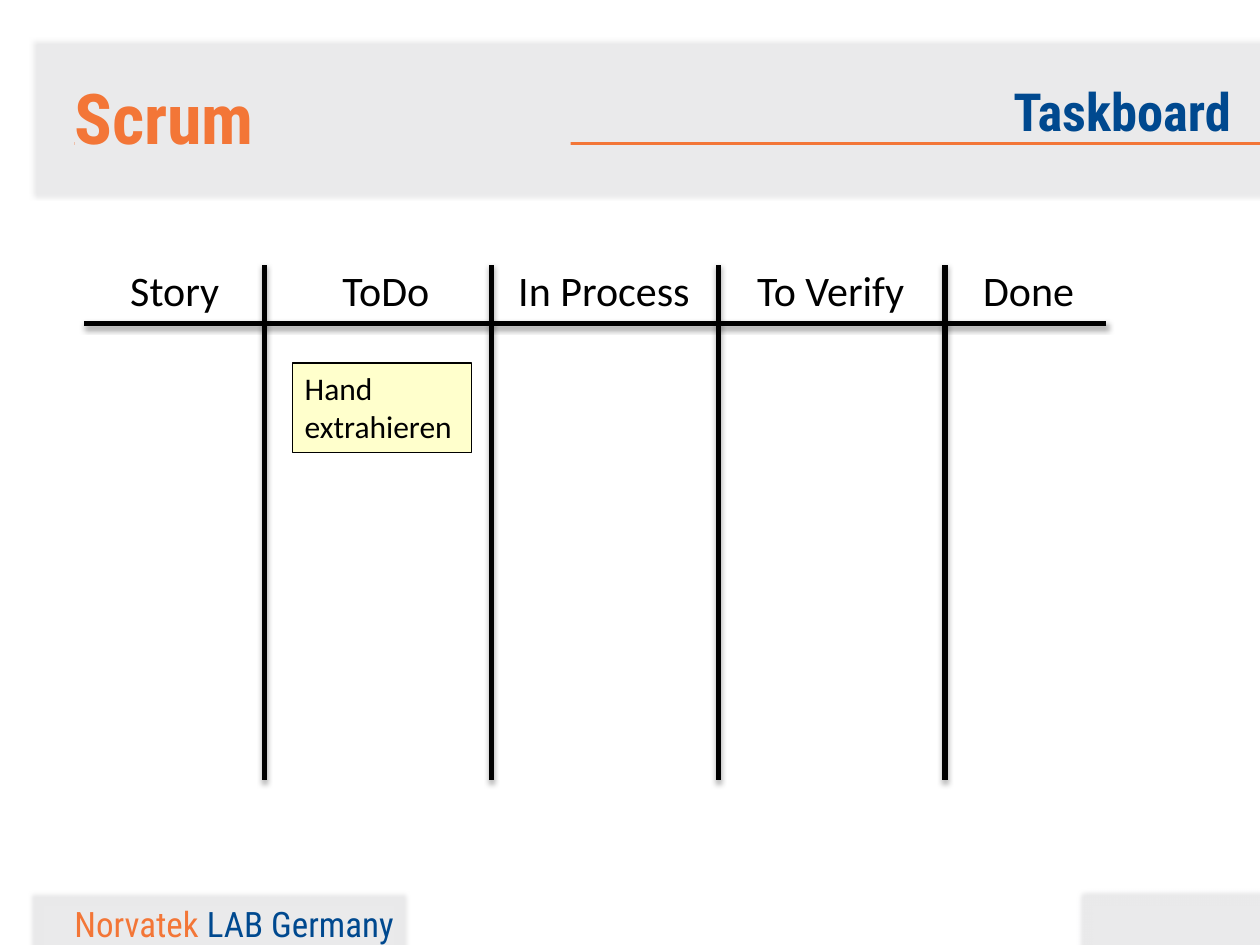
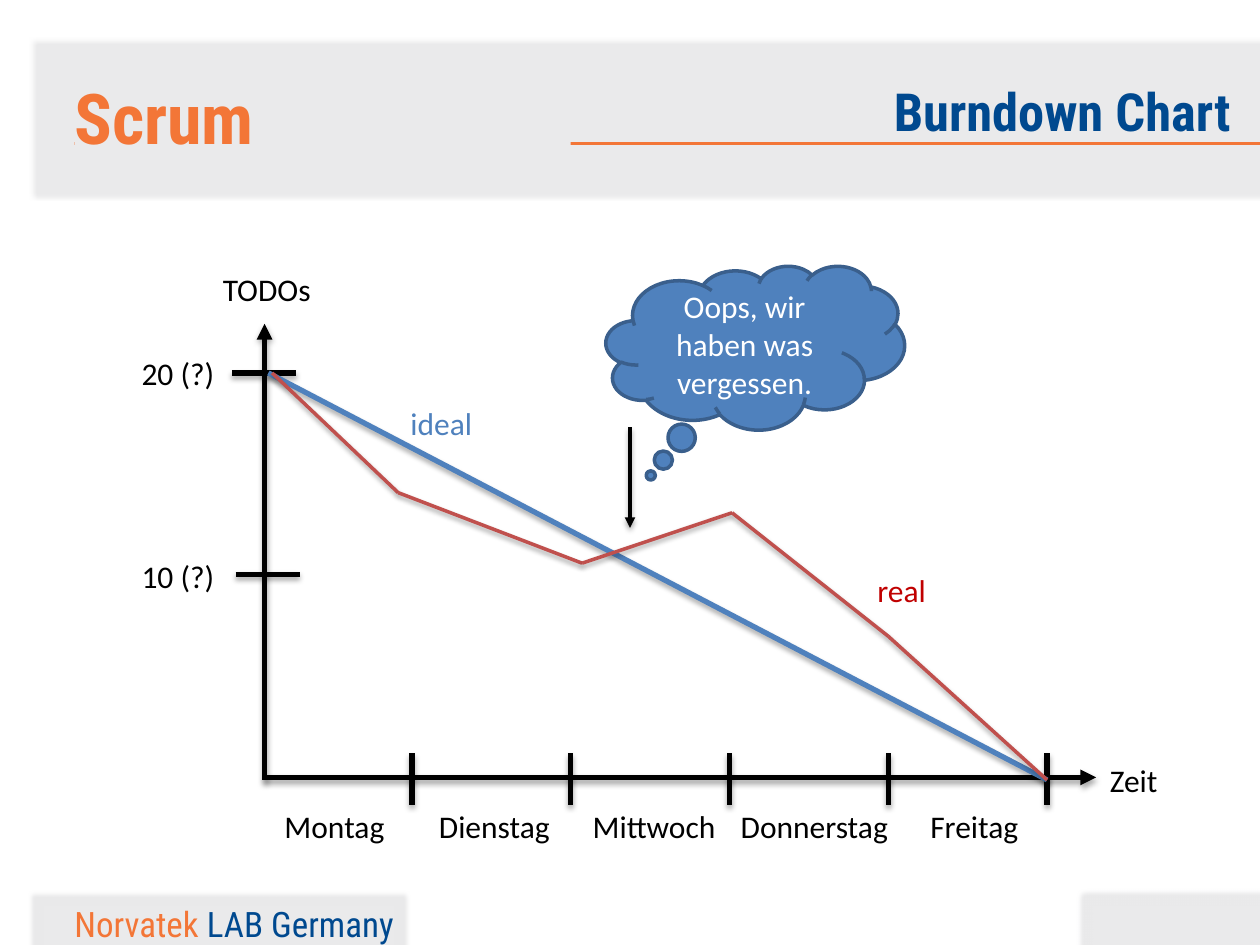
from lxml import etree
from pptx import Presentation
from pptx import util as u
from pptx.dml.color import RGBColor
from pptx.enum import shapes, text
from pptx.oxml import ns

COLORS = {
    "band": "EAEAEB", "orange": "F37637", "navy": "00498F", "black": "000000",
    "white": "FFFFFF", "note": "FFFFCC", "blue": "4F81BD", "blue_edge": "3A5F8C",
    "red": "C0504D", "red_text": "C00000",
}
BODY_FONT, HEAD_FONT = "Calibri", "Roboto Condensed"
TITLE_ONLY = 5


def rgb(name):
    return RGBColor.from_string(COLORS[name])


def inches(*lengths):
    return [u.Inches(length) for length in lengths]


# Text and drawing helpers
def write_text(frame, content, size=18, color="black", font=BODY_FONT, bold=False,
               align="LEFT", anchor="TOP", inset=None, wrap=True, grow=False):
    """Write a string, or a list of (string, colour) runs, as one paragraph."""
    frame.word_wrap = wrap
    frame.vertical_anchor = text.MSO_ANCHOR[anchor]
    fit = text.MSO_AUTO_SIZE
    frame.auto_size = fit.SHAPE_TO_FIT_TEXT if grow else fit.NONE
    if inset is not None:
        frame.margin_left = frame.margin_right = u.Inches(inset)
        frame.margin_top = frame.margin_bottom = u.Inches(inset)
    paragraph = frame.paragraphs[0]
    paragraph.alignment = text.PP_ALIGN[align]
    runs = [(content, color)] if isinstance(content, str) else content
    for words, run_color in runs:
        run = paragraph.add_run()
        run.text = words
        run.font.name, run.font.size, run.font.bold = font, u.Pt(size), bold
        run.font.color.rgb = rgb(run_color)


def add_text(parent, content, left, top, width, height, **style):
    box = parent.shapes.add_textbox(*inches(left, top, width, height))
    write_text(box.text_frame, content, **style)


def add_label(parent, content, center, top, width, height=0.4, **style):
    add_text(parent, content, center - width / 2, top, width, height,
             wrap=False, grow=True, **style)


def add_effect(properties, kind, color, alpha, **lengths):
    """Put one effect in the shape's effect list, creating the list if needed."""
    effects = properties.find(ns.qn("a:effectLst"))
    if effects is None:
        effects = etree.SubElement(properties, ns.qn("a:effectLst"))
    effect = etree.SubElement(effects, ns.qn("a:" + kind))
    for name, value in lengths.items():
        effect.set(name, str(int(value)))
    tint = etree.SubElement(effect, ns.qn("a:srgbClr"), val=COLORS[color])
    etree.SubElement(tint, ns.qn("a:alpha"), val=str(alpha * 1000))


def add_line(parent, start, end, color="black", width=3, arrow=False, shadow=True):
    line = parent.shapes.add_connector(
        shapes.MSO_CONNECTOR.STRAIGHT, *inches(*start, *end))
    line.line.color.rgb = rgb(color)
    line.line.width = u.Pt(width)
    properties = line.element.spPr
    if arrow:
        etree.SubElement(properties.find(ns.qn("a:ln")), ns.qn("a:tailEnd"),
                         type="triangle")
    if shadow:
        add_effect(properties, "outerShdw", "black", 35, blurRad=u.Pt(3.1),
                   dist=u.Pt(1.8), dir=90 * 60000)
    else:
        etree.SubElement(properties, ns.qn("a:effectLst"))


def add_box(parent, kind, left, top, width, height, fill, edge=None, edge_width=1):
    shape = parent.shapes.add_shape(
        shapes.MSO_SHAPE[kind], *inches(left, top, width, height))
    shape.shadow.inherit = False
    shape.fill.solid()
    shape.fill.fore_color.rgb = rgb(fill)
    if edge:
        shape.line.color.rgb = rgb(edge)
        shape.line.width = u.Pt(edge_width)
    else:
        shape.line.fill.background()
    return shape


# Shared frame: bands, rule, footer, section name and title
def add_frame(presentation, title):
    slide = presentation.slides.add_slide(presentation.slide_layouts[TITLE_ONLY])
    for band in ((0.35, 0.41, 9.8, 1.04), (8.68, 7.19, 1.42, 0.44),
                 (0.35, 7.19, 2.78, 0.44)):
        shape = add_box(slide, "RECTANGLE", *band, "band")
        add_effect(shape.element.spPr, "glow", "band", 100, rad=u.Pt(5))
    add_line(slide, (10, 1.14), (0.59, 1.14), "orange", 2, shadow=False)
    add_text(slide, [("Norvatek ", "orange"), ("LAB Germany", "navy")],
             0.59, 7.16, 3.78, 0.34, size=20, font=HEAD_FONT, inset=0, grow=True)

    section = add_box(slide, "RECTANGLE", 0.59, 0.59, 3.94, 0.67, "band")
    write_text(section.text_frame, "Scrum", size=40, color="orange", font=HEAD_FONT,
               bold=True, anchor="BOTTOM", inset=0, grow=True)

    heading = slide.shapes.title
    heading.left, heading.top, heading.width, heading.height = inches(
        3.5, 0.63, 6.27, 0.5)
    write_text(heading.text_frame, title, size=30, color="navy", font=HEAD_FONT,
               bold=True, align="RIGHT", inset=0)
    # The title must lie in front of the band
    heading.element.getparent().append(heading.element)
    return slide


# Taskboard: column dividers, header rule, headings and a note
def add_taskboard(slide, left, top, width, height):
    first, step = left + 1.43, 1.8
    for column in range(4):
        x = first + column * step
        add_line(slide, (x, top + height), (x, top))
    add_line(slide, (left + width, top + 0.47), (left, top + 0.47))

    headings = (("Story", 0.72, 0.91), ("ToDo", 2.4, 0.9), ("In Process", 4.13, 1.57),
                ("To Verify", 5.93, 1.38), ("Done", 7.5, 0.93))
    for name, center, label_width in headings:
        add_label(slide, name, left + center, top - 0.05, label_width, 0.5, size=24)

    note = add_box(slide, "RECTANGLE", first + 0.22, top + 0.78, 1.42, 0.71,
                   "note", "black", 0.75)
    write_text(note.text_frame, "Hand extrahieren", grow=True)


# Burndown chart: the box spans the two axes
def add_burndown(slide, left, top, width, height):
    bottom = top + height
    day_width = 1.26
    last_tick = left + 1.17 + 4 * day_width
    start_y, middle_y = top + 0.39, top + 1.99

    # Axes
    add_line(slide, (left, bottom + 0.02), (left, top), arrow=True)
    add_line(slide, (left, bottom), (left + width, bottom), arrow=True)
    add_label(slide, "TODOs", left + 0.02, top - 0.48, 0.9)
    add_label(slide, "Zeit", left + width + 0.3, bottom - 0.18, 0.58)

    # Days
    days = (("Montag", 1), ("Dienstag", 1.09), ("Mittwoch", 1.19),
            ("Donnerstag", 1.38), ("Freitag", 0.91))
    for index, (day, label_width) in enumerate(days):
        tick = left + 1.17 + index * day_width
        add_line(slide, (tick, bottom - 0.19), (tick, bottom + 0.22))
        add_label(slide, day, left + 0.56 + index * 1.27, bottom + 0.19, label_width)

    # Amounts
    for amount, y, label_top, tick_left in (
            ("20 (?)", start_y, top + 0.19, left - 0.26),
            ("10 (?)", middle_y, top + 1.8, left - 0.23)):
        add_line(slide, (tick_left, y), (tick_left + 0.51, y))
        add_label(slide, amount, left - 0.68, label_top, 0.79)

    # Ideal course
    end = (last_tick, bottom + 0.02)
    add_line(slide, (left + 0.03, start_y), end, "blue")
    add_label(slide, "ideal", left + 1.41, top + 0.59, 0.7, color="blue")

    # Real course
    real = slide.shapes.add_group_shape()
    offsets = ((0.06, 0.39), (1.06, 1.34), (2.52, 1.9), (3.71, 1.5), (4.95, 2.48))
    points = [(left + x, top + y) for x, y in offsets] + [end]
    for start, stop in zip(points, points[1:]):
        add_line(real, start, stop, "red", 2)
    add_label(real, "real", left + 5.06, top + 1.91, 0.59, color="red_text")

    # Remark on the rise
    remark = slide.shapes.add_group_shape()
    add_line(remark, (left + 2.9, top + 0.82), (left + 2.9, top + 1.62),
             width=2, arrow=True)
    cloud = add_box(remark, "CLOUD_CALLOUT", left + 2.71, top - 0.46, 2.37, 1.3,
                    "blue", "blue_edge", 2)
    cloud.adjustments[0], cloud.adjustments[1] = -0.35, 0.78
    write_text(cloud.text_frame, "Oops, wir haben was vergessen.", color="white",
               align="CENTER", anchor="MIDDLE")


def main():
    presentation = Presentation()
    presentation.slide_width, presentation.slide_height = inches(10, 7.5)
    add_taskboard(add_frame(presentation, "Taskboard"), 0.67, 2.1, 8.11, 4.09)
    add_burndown(add_frame(presentation, "Burndown Chart"), 2.1, 2.57, 6.6, 3.6)
    presentation.save("out.pptx")


main()
